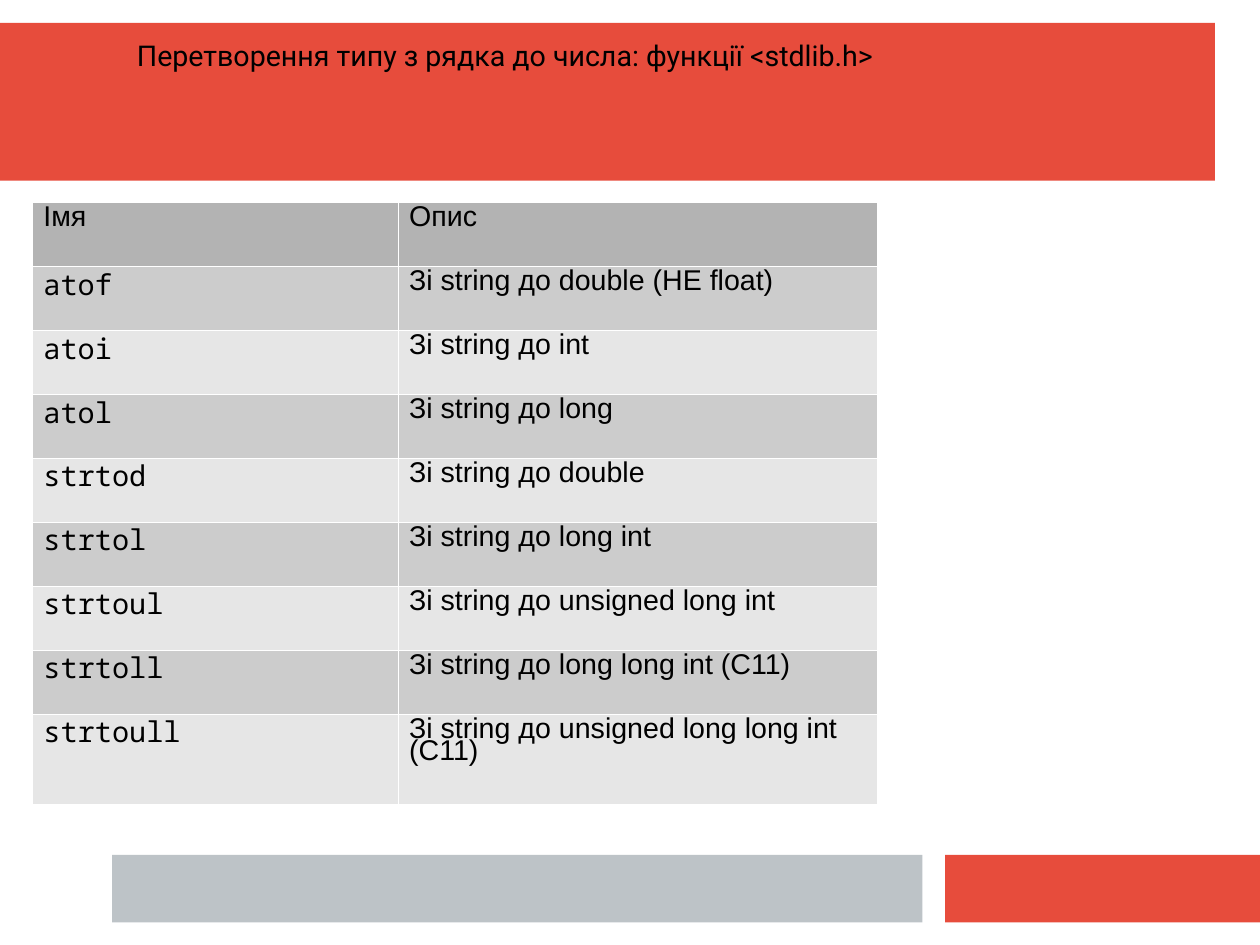
from dataclasses import dataclass

from lxml import etree
from pptx import Presentation
from pptx.dml.color import RGBColor
from pptx.enum.shapes import MSO_SHAPE
from pptx.oxml.ns import qn
from pptx.util import Inches, Pt

RECTANGLE = MSO_SHAPE.RECTANGLE
CM_PER_INCH = 2.54
SLIDE_WIDTH = 28 / CM_PER_INCH
SLIDE_HEIGHT = 21 / CM_PER_INCH


@dataclass(frozen=True)
class Theme:
    accent: str = "E74C3C"
    footer: str = "BDC3C7"
    header_row: str = "B3B3B3"
    bands: tuple = ("CCCCCC", "E6E6E6")
    border: str = "FFFFFF"
    text: str = "000000"
    size: int = 18
    border_width: float = 0.06
    title_font: str = "Roboto"
    body_font: str = "Arial"
    code_font: str = "Noto Sans Mono"


THEME = Theme()
TITLE = "Перетворення типу з рядка до числа: функції <stdlib.h>"
HEADINGS = ("Імя", "Опис")
FUNCTIONS = (
    ("atof", "Зі string до double (НЕ float)"),
    ("atoi", "Зі string до int"),
    ("atol", "Зі string до long"),
    ("strtod", "Зі string до double"),
    ("strtol", "Зі string до long int"),
    ("strtoul", "Зі string до unsigned long int"),
    ("strtoll", "Зі string до long long int (С11)"),
    ("strtoull", "Зі string до unsigned long long int (С11)"),
)
COLUMN_WIDTHS = (3.2, 4.19)
ROW_HEIGHT = 0.56
LAST_ROW_HEIGHT = 0.79


def write_text(frame, text, font_name, line_spacing):
    frame.word_wrap = True
    paragraph = frame.paragraphs[0]
    paragraph.line_spacing = line_spacing
    run = paragraph.add_run()
    run.text = text
    for attribute, value in {"name": font_name, "size": Pt(THEME.size)}.items():
        setattr(run.font, attribute, value)
    run.font.color.rgb = RGBColor.from_string(THEME.text)


def add_band(slide, box, color):
    band = slide.shapes.add_shape(RECTANGLE, *map(Inches, box))
    band.shadow.inherit = False
    band.fill.solid()
    band.fill.fore_color.rgb = RGBColor.from_string(color)
    band.line.fill.background()


def add_title(slide, box):
    title = slide.shapes.add_textbox(*map(Inches, box))
    write_text(title.text_frame, TITLE, THEME.title_font, 0.98)


def add_cell_borders(cell):
    """Draw thin lines on all four sides; call before the cell is filled."""
    properties = cell._tc.get_or_add_tcPr()
    for side in ("lnL", "lnR", "lnT", "lnB"):
        line = etree.SubElement(properties, qn(f"a:{side}"), w=str(int(Pt(THEME.border_width))))
        fill = etree.SubElement(line, qn("a:solidFill"))
        etree.SubElement(fill, qn("a:srgbClr"), val=THEME.border)


def fill_cell(cell, text, color, font_name, line_spacing):
    add_cell_borders(cell)
    cell.fill.solid()
    cell.fill.fore_color.rgb = RGBColor.from_string(color)
    write_text(cell.text_frame, text, font_name, line_spacing)


def add_function_table(slide, left, top):
    rows = (HEADINGS, *FUNCTIONS)
    heights = [ROW_HEIGHT] * len(FUNCTIONS) + [LAST_ROW_HEIGHT]
    size = (sum(COLUMN_WIDTHS), sum(heights))
    table = slide.shapes.add_table(
        len(rows), len(HEADINGS), *map(Inches, (left, top, *size))
    ).table
    for column, width in zip(table.columns, COLUMN_WIDTHS):
        column.width = Inches(width)
    for index, (row, height, texts) in enumerate(zip(table.rows, heights, rows)):
        row.height = Inches(height)
        is_header = index == 0
        color = THEME.header_row if is_header else THEME.bands[(index - 1) % 2]
        for position, (cell, text) in enumerate(zip(row.cells, texts)):
            is_code = position == 0 and not is_header
            font_name = THEME.code_font if is_code else THEME.body_font
            fill_cell(cell, text, color, font_name, 0.74 if is_code else 0.71)


def build_function_slide(presentation):
    slide = presentation.slides.add_slide(presentation.slide_layouts[6])
    add_band(slide, (0, 0.2, 10.63, 1.38), THEME.accent)
    add_band(slide, (8.27, 7.48, 2.76, 0.59), THEME.accent)
    add_band(slide, (0.98, 7.48, 7.09, 0.59), THEME.footer)
    add_function_table(slide, 0.28, 1.77)
    add_title(slide, (1.1, 0.3, 8.5, 0.69))


def main():
    presentation = Presentation()
    presentation.slide_width = Inches(SLIDE_WIDTH)
    presentation.slide_height = Inches(SLIDE_HEIGHT)
    build_function_slide(presentation)
    presentation.save("out.pptx")


if __name__ == "__main__":
    main()
